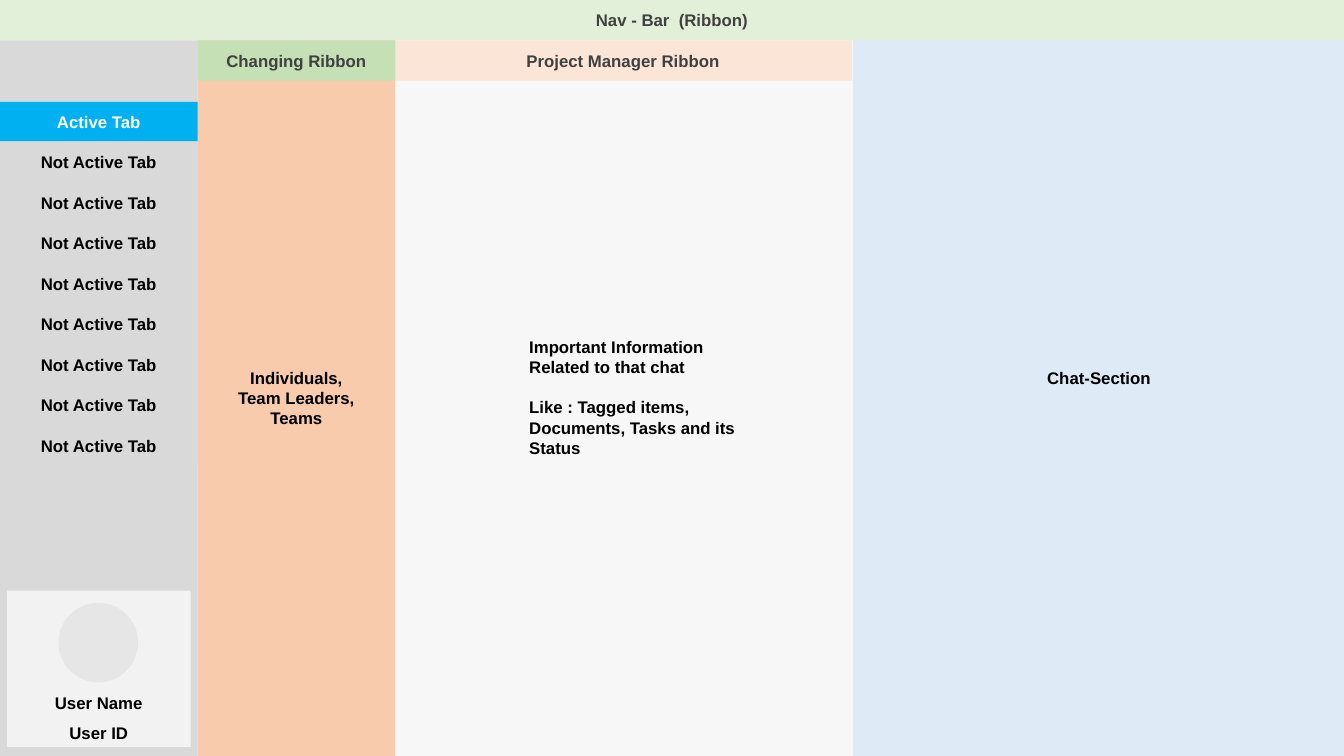
"""Build a wireframe slide of a team chat screen."""
from pptx import Presentation
from pptx.dml.color import RGBColor
from pptx.enum.shapes import MSO_SHAPE
from pptx.enum.text import MSO_ANCHOR, MSO_AUTO_SIZE, PP_ALIGN
from pptx.util import Inches, Pt

RECT, ROUND, OVAL = MSO_SHAPE.RECTANGLE, MSO_SHAPE.ROUNDED_RECTANGLE, MSO_SHAPE.OVAL
MIDDLE, TOP = MSO_ANCHOR.MIDDLE, MSO_ANCHOR.TOP
CENTER, LEFT = PP_ALIGN.CENTER, PP_ALIGN.LEFT
GROW = MSO_AUTO_SIZE.SHAPE_TO_FIT_TEXT

BLACK = RGBColor(0x00, 0x00, 0x00)
WHITE = RGBColor(0xFF, 0xFF, 0xFF)
DARK = RGBColor(0x40, 0x40, 0x40)
PAPER = RGBColor(0xF7, 0xF7, 0xF7)
GRAY = RGBColor(0xD9, 0xD9, 0xD9)
CARD = RGBColor(0xF2, 0xF2, 0xF2)
DISC = RGBColor(0xE7, 0xE6, 0xE6)
BLUE = RGBColor(0xDE, 0xEB, 0xF7)
MINT = RGBColor(0xE2, 0xF0, 0xD9)
GREEN = RGBColor(0xC5, 0xE0, 0xB4)
PEACH = RGBColor(0xFB, 0xE5, 0xD6)
ORANGE = RGBColor(0xF8, 0xCB, 0xAD)
ACTIVE = RGBColor(0x00, 0xB0, 0xF0)

WIDTH, HEIGHT = 13.33, 7.5
BAR = 0.4
SIDE = 1.96
TAB_TOP, TAB_STEP, TAB_HIGH = 1.01, 0.402, 0.39


def write(shape, lines, color, anchor=MIDDLE, **style):
    frame = shape.text_frame
    frame.word_wrap = True
    frame.vertical_anchor = anchor
    frame.text = "\n".join(lines)
    look = {"name": "Arial", "size": Pt(12), "bold": True}
    for para in frame.paragraphs:
        for key, value in ({"alignment": CENTER} | style).items():
            setattr(para, key, value)
        font = para.runs[0].font
        for key, value in look.items():
            setattr(font, key, value)
        font.color.rgb = color
    return frame


def block(kind, box, fill, lines=(), color=BLACK):
    shape = slide.shapes.add_shape(kind, *map(Inches, box))
    shape.shadow.inherit = False
    shape.fill.solid()
    shape.fill.fore_color.rgb = fill
    shape.line.fill.background()
    if kind == ROUND:
        shape.adjustments[0] = 0
    if lines:
        write(shape, lines, color)


deck = Presentation()
deck.slide_width, deck.slide_height = Inches(WIDTH), Inches(HEIGHT)
slide = deck.slides.add_slide(deck.slide_layouts[6])
slide.background.fill.solid()
slide.background.fill.fore_color.rgb = PAPER

block(RECT, (0, BAR, SIDE, HEIGHT - BAR), GRAY)
block(RECT, (8.46, 0, 4.88, HEIGHT), BLUE, ["Chat-Section"])
block(RECT, (0, 0, WIDTH, BAR), MINT, ["Nav - Bar  (Ribbon)"], DARK)

info = slide.shapes.add_textbox(*map(Inches, (5.15, 3.29, 2.45, 1.31)))
notes = ["Important Information Related to that chat",
         "Like : Tagged items, Documents, Tasks and its Status"]
frame = write(info, notes, BLACK, TOP, alignment=LEFT)
frame.auto_size = GROW
frame.paragraphs[1].space_before = Pt(14.4)

block(RECT, (3.91, BAR, 4.54, BAR), PEACH, ["Project Manager Ribbon"], DARK)
block(RECT, (SIDE, BAR, SIDE, HEIGHT - BAR), ORANGE,
      ["Individuals,", "Team Leaders,", "Teams"])
block(RECT, (SIDE, BAR, SIDE, BAR), GREEN, ["Changing Ribbon"], DARK)

tabs = [("Active Tab", ACTIVE, WHITE)] + [("Not Active Tab", GRAY, BLACK)] * 8
for row, (label, fill, color) in enumerate(tabs):
    top = TAB_TOP + row * TAB_STEP
    block(ROUND, (0, top, SIDE, TAB_HIGH), fill, [label], color)

block(ROUND, (0.07, 5.86, 1.82, 1.55), CARD)
block(OVAL, (0.58, 5.98, 0.79, 0.79), DISC)
user = slide.shapes.add_textbox(*map(Inches, (0.21, 6.72, 1.54, 0.67)))
frame = write(user, ["User Name", "User ID"], BLACK, TOP, line_spacing=1.5)
frame.auto_size = GROW

deck.save("out.pptx")
